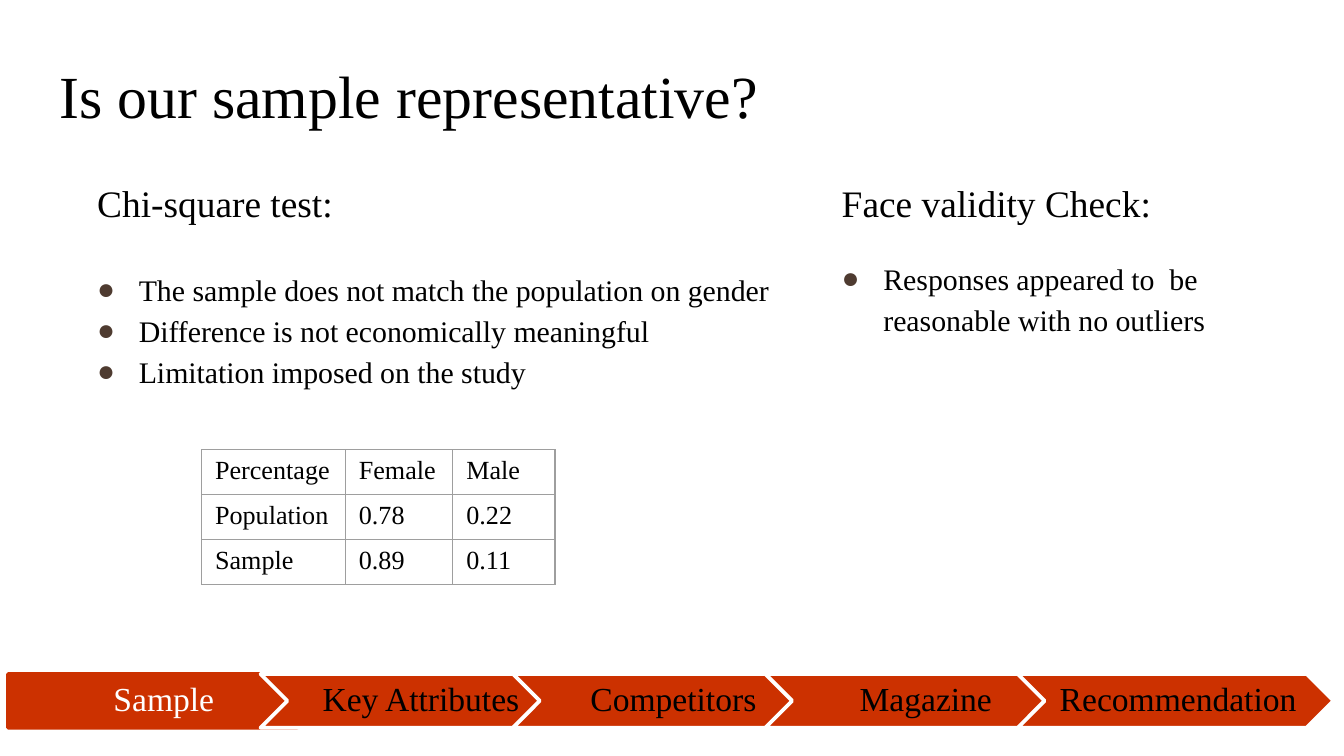
from lxml.etree import SubElement
from pptx import Presentation
from pptx.dml.color import RGBColor
from pptx.enum.shapes import MSO_SHAPE
from pptx.enum.text import MSO_ANCHOR, PP_ALIGN
from pptx.oxml.ns import qn
from pptx.util import Inches, Pt

WIDE = Inches(10)
HIGH = WIDE * 9 // 16
FONT = "Times New Roman"
HUES = {"ink": "000000", "paper": "FFFFFF", "red": "CC3100",
        "dot": "4E3B30", "rule": "9E9E9E"}
STEPS = ["Sample", "Key Attributes", "Competitors", "Magazine", "Recommendation"]
SHARES = [["Percentage", "Female", "Male"],
          ["Population", "0.78", "0.22"],
          ["Sample", "0.89", "0.11"]]


def tint(name):
    return RGBColor.from_string(HUES[name])


def place(x, y, w, h):
    """Turn percent shares of the slide into a left, top, width, height."""
    return [round(side * part / 100)
            for side, part in zip((WIDE, HIGH, WIDE, HIGH), (x, y, w, h))]


def write(para, text, size, hue="ink"):
    run = para.add_run()
    run.text = text
    run.font.name, run.font.size = FONT, Pt(size)
    run.font.color.rgb = tint(hue)


def add_box(shapes, area, pads=(0.1, 0.1, 0.1, 0.1)):
    """Add a wrapping text box; pads are left, top, right, bottom inches."""
    frame = shapes.add_textbox(*place(*area)).text_frame
    frame.word_wrap = True
    (frame.margin_left, frame.margin_top,
     frame.margin_right, frame.margin_bottom) = map(Inches, pads)
    return frame


def add_dot(para):
    props = para._p.get_or_add_pPr()
    props.set("marL", str(Inches(0.31)))
    props.set("indent", str(-Inches(0.31)))
    color = SubElement(props, qn("a:buClr"))
    SubElement(color, qn("a:srgbClr"), val=HUES["dot"])
    SubElement(props, qn("a:buFont"), typeface=FONT)
    SubElement(props, qn("a:buChar"), char="●")


def add_list(shapes, area, head, items, gap):
    """Add a heading with bullets that start gap points below it."""
    frame = add_box(shapes, area)
    first = frame.paragraphs[0]
    first.line_spacing = 1.15
    write(first, head, 20)
    for i, item in enumerate(items):
        para = frame.add_paragraph()
        para.line_spacing = 1.15
        para.space_before = Pt(0 if i else gap)
        add_dot(para)
        write(para, item, 16)


def add_rule(cell):
    props = cell._tc.get_or_add_tcPr()
    for side in ("lnL", "lnR", "lnT", "lnB"):
        line = SubElement(props, qn(f"a:{side}"), w=str(Pt(0.75)))
        fill = SubElement(line, qn("a:solidFill"))
        SubElement(fill, qn("a:srgbClr"), val=HUES["rule"])


def add_grid(shapes, area, rows, widths):
    table = shapes.add_table(len(rows), len(widths), *place(*area)).table
    table.first_row = table.horz_banding = False
    for col, width in zip(table.columns, widths):
        col.width = round(WIDE * width / 100)
    for r, row in enumerate(rows):
        for c, text in enumerate(row):
            cell = table.cell(r, c)
            add_rule(cell)
            cell.fill.background()
            write(cell.text_frame.paragraphs[0], text, 14)


def add_step(shapes, kind, area, line):
    shape = shapes.add_shape(kind, *place(*area))
    shape.shadow.inherit = False
    shape.fill.solid()
    shape.fill.fore_color.rgb = tint("red")
    shape.line.color.rgb = tint(line)
    shape.line.width = Pt(2)


def add_label(shapes, area, text, hue, left):
    frame = add_box(shapes, area, (left, 0.05, 0.03, 0.05))
    frame.vertical_anchor = MSO_ANCHOR.MIDDLE
    para = frame.paragraphs[0]
    para.alignment, para.line_spacing = PP_ALIGN.CENTER, 0.9
    write(para, text, 18, hue)


def add_track(shapes, steps):
    """Add the row of overlapping steps, the first one being current."""
    group = shapes.add_group_shape().shapes
    top, high = 89.15, 7.12
    for i, step in enumerate(steps):
        x = 0.6 + 18.78 * i
        if i == 0:
            add_step(group, MSO_SHAPE.PENTAGON, (x, top, 23.5, high), "red")
            add_label(group, (x, top, 22.5, high), step, "paper", 0.1)
        else:
            add_step(group, MSO_SHAPE.CHEVRON, (x, top, 23.5, high), "paper")
            add_label(group, (x + 2, top, 19.4, high), step, "ink", 0.08)


def main():
    deck = Presentation()
    deck.slide_width, deck.slide_height = WIDE, HIGH
    shapes = deck.slides.add_slide(deck.slide_layouts[6]).shapes

    title = add_box(shapes, (3.45, 5.95, 93.2, 11.2))
    write(title.paragraphs[0], "Is our sample representative?", 32)

    add_list(shapes, (6.25, 21.17, 55.4, 62), "Chi-square test:",
             ["The sample does not match the population on gender",
              "Difference is not economically meaningful",
              "Limitation imposed on the study"], 22)
    add_grid(shapes, (15, 59.5, 26.3, 17), SHARES, (10.7, 8, 7.6))
    add_track(shapes, STEPS)
    add_list(shapes, (61.65, 21.17, 35, 23.8), "Face validity Check:",
             ["Responses appeared to  be reasonable with no outliers"], 16)
    deck.save("out.pptx")


if __name__ == "__main__":
    main()
